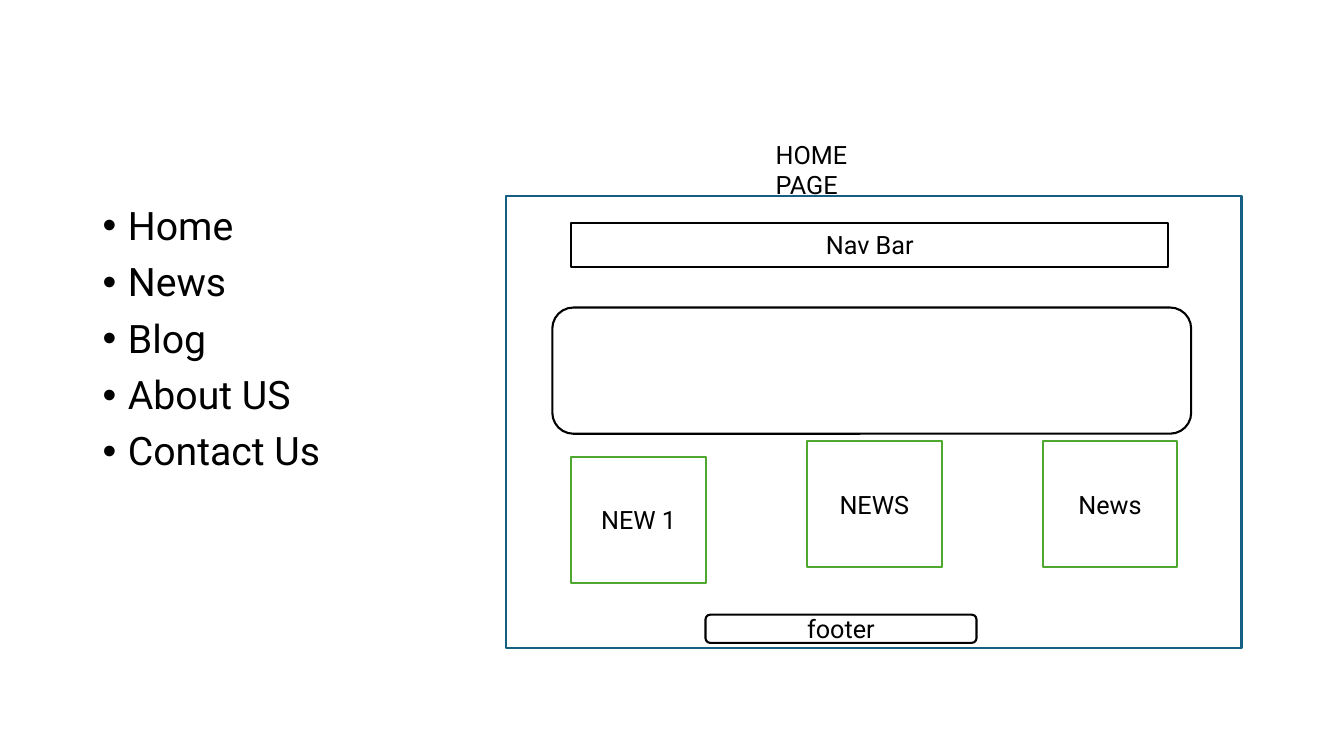
import pptx
import pptx.dml.color
import pptx.enum.shapes
import pptx.enum.text
import pptx.util
from pptx.util import Cm, Pt

FONT = "Roboto"
BLACK, WHITE, BLUE, GREEN = "000000", "FFFFFF", "156082", "4EA72E"
RECT = pptx.enum.shapes.MSO_SHAPE.RECTANGLE
ROUND = pptx.enum.shapes.MSO_SHAPE.ROUNDED_RECTANGLE

MENU = ["Home", "News", "Blog", "About US", "Contact Us"]
PAGE_TITLE = "HOME PAGE"
# Lengths in cm: preset, left, top, width, height, line colour, label
FRAME = (RECT, 12.75, 4.95, 18.54, 11.38, BLUE, "")
NAV_BAR = (RECT, 14.4, 5.61, 15.04, 1.12, BLACK, "Nav Bar")
FOOTER = (ROUND, 17.78, 15.49, 6.83, 0.71, BLACK, "footer")
BANNER = (ROUND, 13.92, 7.75, 16.1, 3.18, BLACK, "")
CARDS = [("NEW 1", 11.51), ("NEWS", 11.12), ("News", 11.12)]  # label, top
CARD_LEFT, CARD_STEP, CARD_W, CARD_H = 14.4, 5.94, 3.39, 3.18


def rgb(color):
    return pptx.dml.color.RGBColor.from_string(color)


def add_run(p, text, size):
    r = p.add_run()
    r.text = text
    r.font.name = FONT
    r.font.size = Pt(size)
    r.font.color.rgb = rgb(BLACK)


def add_box(slide, preset, left, top, width, height, line, label):
    sp = slide.shapes.add_shape(preset, Cm(left), Cm(top), Cm(width), Cm(height))
    sp.shadow.inherit = False
    sp.fill.solid()
    sp.fill.fore_color.rgb = rgb(WHITE)
    sp.line.color.rgb = rgb(line)
    sp.line.width = Pt(1.5)
    if label:
        tf = sp.text_frame
        tf.vertical_anchor = pptx.enum.text.MSO_ANCHOR.MIDDLE
        p = tf.paragraphs[0]
        p.alignment = pptx.enum.text.PP_ALIGN.CENTER
        add_run(p, label, 18)


def fill_menu(sp):
    sp.left, sp.top, sp.width, sp.height = Cm(2.33), Cm(5.08), Cm(6.38), Cm(12.09)
    tf = sp.text_frame
    tf.auto_size = pptx.enum.text.MSO_AUTO_SIZE.NONE
    for i, item in enumerate(MENU):
        p = tf.add_paragraph() if i else tf.paragraphs[0]
        p.line_spacing = 0.9
        p.space_before = Pt(10)
        pPr = p._p.get_or_add_pPr()
        pPr.set("marL", str(Cm(0.64)))
        pPr.set("indent", str(-Cm(0.64)))
        add_run(p, item, 28)


def add_page_title(slide):
    sp = slide.shapes.add_textbox(Cm(19.3), Cm(3.38), Cm(3.94), Cm(1.02))
    tf = sp.text_frame
    tf.word_wrap = True
    add_run(tf.paragraphs[0], PAGE_TITLE, 18)


def main():
    prs = pptx.Presentation()
    prs.slide_width, prs.slide_height = Cm(33.87), Cm(19.05)
    slide = prs.slides.add_slide(prs.slide_layouts[1])
    title = slide.shapes.title
    title.element.getparent().remove(title.element)

    fill_menu(slide.placeholders[1])
    cards = [(RECT, CARD_LEFT + i * CARD_STEP, top, CARD_W, CARD_H, GREEN, label)
             for i, (label, top) in enumerate(CARDS)]
    for box in [FRAME, NAV_BAR, *cards, FOOTER]:
        add_box(slide, *box)
    add_page_title(slide)
    add_box(slide, *BANNER)
    prs.save("out.pptx")


if __name__ == "__main__":
    main()
